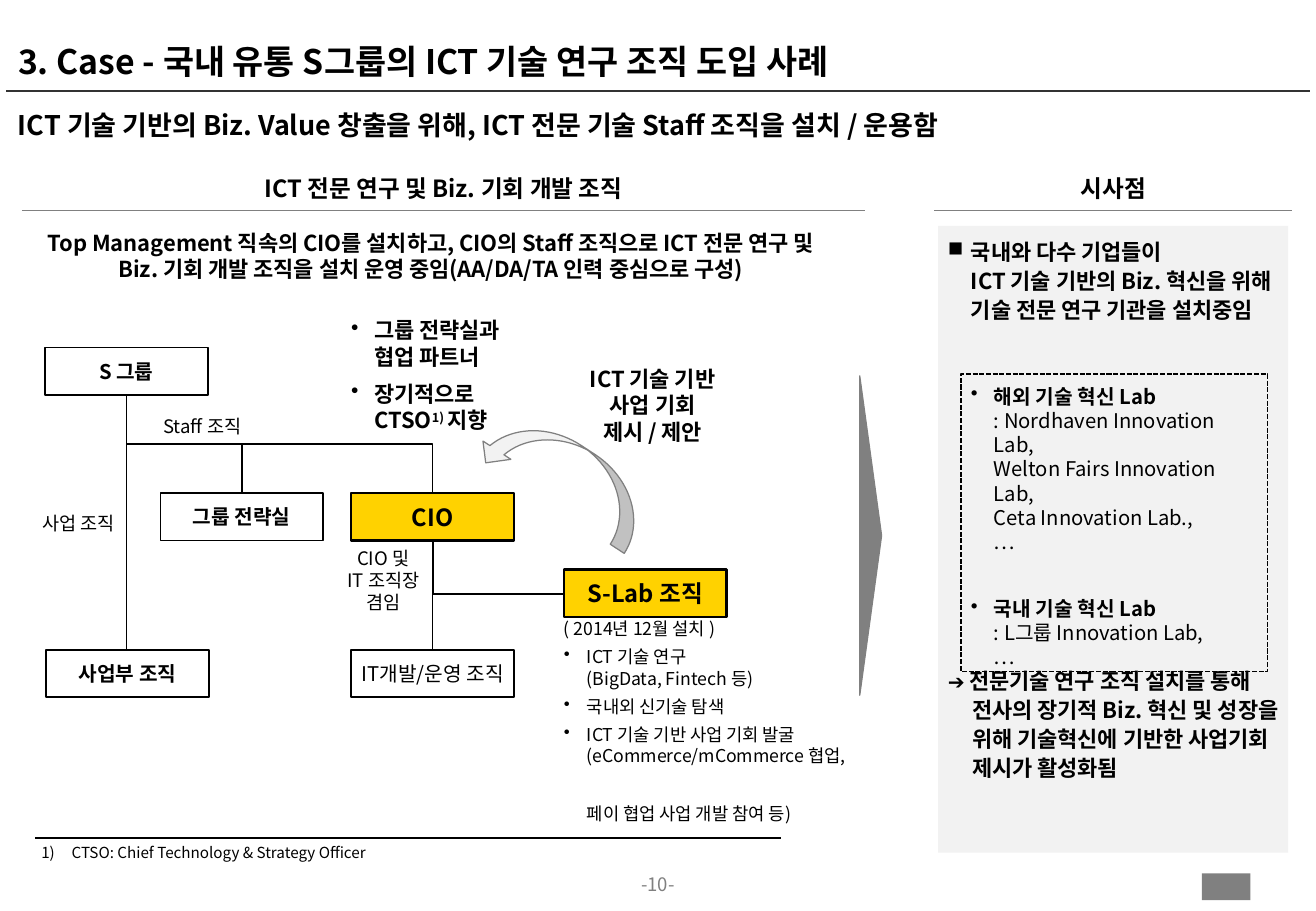
from lxml import etree
from pptx import Presentation
from pptx.dml.color import RGBColor
from pptx.enum import dml, shapes, text
from pptx.oxml import ns
from pptx.util import Inches, Pt

BLACK = RGBColor(0x00, 0x00, 0x00)
CHARCOAL = RGBColor(0x33, 0x33, 0x33)
GRAY = RGBColor(0x80, 0x80, 0x80)
PALE = RGBColor(0xF2, 0xF2, 0xF2)
YELLOW = RGBColor(0xFF, 0xD2, 0x00)
FONT = "Noto Sans CJK KR"
LEFT, CENTER = text.PP_ALIGN.LEFT, text.PP_ALIGN.CENTER
TOP, MIDDLE, BOTTOM = text.MSO_ANCHOR.TOP, text.MSO_ANCHOR.MIDDLE, text.MSO_ANCHOR.BOTTOM
RECTANGLE = shapes.MSO_SHAPE.RECTANGLE
BOX_WIDTH, BOX_HEIGHT = 1.34, 0.39
PLACEHOLDER_INSETS = (0.1, 0.05, 0.1, 0.05)


def apply(target, values):
    """Set every attribute in a dict of format values."""
    for name, value in values.items():
        setattr(target, name, value)


def add_bullet(paragraph, indent, bullet, scale=None):
    """Give a paragraph a hanging indent and an optional bullet."""
    properties = paragraph._p.get_or_add_pPr()
    properties.set("marL", str(Inches(indent)))
    properties.set("indent", str(-Inches(indent)))
    if scale:
        etree.SubElement(properties, ns.qn("a:buSzPct"), val=str(scale * 1000))
    if bullet == "1)":
        etree.SubElement(properties, ns.qn("a:buAutoNum"), type="arabicParenR")
    elif bullet:
        etree.SubElement(properties, ns.qn("a:buChar"), char=bullet)


def add_run(paragraph, words, size, bold=False, color=BLACK, raised=False):
    """Add text in one format, with a line break at each newline."""
    for index, line in enumerate(words.split("\n")):
        if index:
            paragraph.add_line_break()
        if not line:
            continue
        run = paragraph.add_run()
        run.text = line
        apply(run.font, {"size": Pt(size), "bold": bold, "name": FONT})
        run.font.color.rgb = color
        properties = run.font._element
        etree.SubElement(properties, ns.qn("a:ea"), typeface=FONT)
        if raised:
            properties.set("baseline", "30000")


def write(shape, paragraphs, size, bold=False, color=BLACK, align=LEFT, anchor=TOP,
          insets=(0, 0, 0, 0), wrap=True, spacing=None):
    """Fill a shape with paragraphs given as strings or dicts."""
    frame = shape.text_frame
    apply(frame, {"word_wrap": wrap, "vertical_anchor": anchor})
    sides = ("margin_left", "margin_top", "margin_right", "margin_bottom")
    apply(frame, {side: Inches(inset) for side, inset in zip(sides, insets)})
    for index, item in enumerate(paragraphs):
        item = {"runs": [(item, {})]} if isinstance(item, str) else item
        paragraph = frame.add_paragraph() if index else frame.paragraphs[0]
        if "indent" in item:
            add_bullet(paragraph, item["indent"], item.get("bullet"), item.get("scale"))
        apply(paragraph, {"alignment": align, "line_spacing": spacing,
                          "space_before": Pt(item.get("before", 0))})
        for words, changes in item["runs"]:
            add_run(paragraph, words, **{"size": size, "bold": bold, "color": color, **changes})


def bullet_item(*runs, bullet="•", indent=0.19, before=0, scale=None):
    """Describe a paragraph with a hanging indent."""
    runs = [(run, {}) if isinstance(run, str) else run for run in runs]
    return {"runs": runs, "bullet": bullet, "indent": indent, "before": before, "scale": scale}


def add_text(slide, at, paragraphs, size, **options):
    """Add a text box."""
    write(slide.shapes.add_textbox(*map(Inches, at)), paragraphs, size, **options)


def add_shape(slide, kind, at, fill=None, line=None, width=1.0, rotation=0):
    """Add a preset shape without shadow."""
    shape = slide.shapes.add_shape(kind, *map(Inches, at))
    shape.shadow.inherit = False
    shape.rotation = rotation
    for part, color in ((shape.fill, fill), (shape.line.fill, line)):
        if color is None:
            part.background()
        else:
            part.solid()
            part.fore_color.rgb = color
    if line is not None:
        shape.line.width = Pt(width)
    return shape


def add_box(slide, left, top, label, size=12, bold=True, fill=None):
    """Add one box of the organisation chart."""
    box = add_shape(slide, RECTANGLE, (left, top, BOX_WIDTH, BOX_HEIGHT), fill, BLACK,
                    1.5 if fill else 1)
    write(box, [label], size, bold=bold, align=CENTER, anchor=MIDDLE,
          insets=PLACEHOLDER_INSETS, wrap=False)


def add_line(slide, start, end, color=BLACK, width=1.0, kind=shapes.MSO_CONNECTOR.STRAIGHT):
    """Add a connector without shadow."""
    line = slide.shapes.add_connector(kind, *map(Inches, (*start, *end)))
    line.line.color.rgb = color
    line.line.width = Pt(width)
    etree.SubElement(line._element.spPr, ns.qn("a:effectLst"))
    return line


def add_elbow(slide, start, end, preset="bentConnector3"):
    """Add an elbow connector that leaves its start downwards."""
    (x1, y1), (x2, y2) = start, end
    middle_x, middle_y = (x1 + x2) / 2, (y1 + y2) / 2
    half_x, half_y = (y2 - y1) / 2, (x2 - x1) / 2
    line = add_line(slide, (middle_x - half_x, middle_y - half_y),
                    (middle_x + half_x, middle_y + half_y), kind=shapes.MSO_CONNECTOR.ELBOW)
    properties = line._element.spPr
    apply(properties.find(ns.qn("a:xfrm")), {"rot": 270, "flipH": True})
    properties.find(ns.qn("a:prstGeom")).set("prst", preset)


def add_header(slide):
    """Add the title, the key message and the column headings."""
    add_line(slide, (0.05, 0.75), (10.78, 0.75), CHARCOAL)
    add_text(slide, (0.05, 0.05, 10.72, 0.67), ["3. Case - 국내 유통 S그룹의 ICT 기술 연구 조직 도입 사례"],
             20, bold=True, anchor=BOTTOM, insets=PLACEHOLDER_INSETS, spacing=0.85)
    add_text(slide, (0.05, 0.79, 10.73, 0.56),
             ["ICT 기술 기반의 Biz. Value 창출을 위해, ICT 전문 기술 Staff 조직을 설치 / 운용함"],
             16, bold=True, insets=PLACEHOLDER_INSETS, spacing=1.2)
    headings = ((1.98, 3.34, "ICT 전문 연구 및 Biz. 기회 개발 조직", 0.18, 7.12),
                (8.83, 0.67, "시사점", 7.69, 10.63))
    for left, width, label, rule_start, rule_end in headings:
        add_text(slide, (left, 1.37, width, 0.32), [label], 14, bold=True, align=CENTER,
                 insets=(0.04,) * 4, wrap=False, spacing=1.1)
        add_line(slide, (rule_start, 1.73), (rule_end, 1.73), GRAY, 0.75)


def add_organisation(slide):
    """Add the organisation chart with its labels."""
    group, cio = (1.04, 3.25), (3.56, 4.45)
    add_line(slide, cio, (3.56, 5.35))
    add_line(slide, group, (1.04, 5.35))
    add_elbow(slide, group, (1.99, 4.06))
    add_elbow(slide, group, (3.56, 4.06))
    add_elbow(slide, cio, (4.64, 4.89), "bentConnector2")
    add_box(slide, 0.37, 2.86, "S 그룹")
    add_box(slide, 1.32, 4.06, "그룹 전략실")
    add_box(slide, 2.89, 4.06, "CIO", size=14, fill=YELLOW)
    add_box(slide, 2.89, 5.35, "IT개발/운영 조직", bold=False)
    add_box(slide, 0.38, 5.35, "사업부 조직")
    add_box(slide, 4.64, 4.69, "S-Lab 조직", size=14, fill=YELLOW)
    add_shape(slide, shapes.MSO_SHAPE.CURVED_UP_ARROW, (3.91, 3.64, 1.5, 0.55), PALE, GRAY, 0.75, 213.2)
    labels = ((0.25, 4.05, "사업 조직"), (1.27, 3.25, "Staff 조직"), (2.76, 4.52, "CIO 및\nIT 조직장 겸임"))
    for left, top, label in labels:
        add_text(slide, (left, top, 0.79, 0.51), [label], 11, align=CENTER, anchor=MIDDLE)
    statements = (
        ((4.7, 3.08, 1.34, 0.51), "ICT 기술 기반 사업 기회\n제시 / 제안"),
        ((0.21, 1.91, 6.67, 0.39), "Top Management 직속의 CIO를 설치하고, CIO의 Staff 조직으로 ICT 전문 연구 및 "
                                   "Biz. 기회 개발 조직을 설치 운영 중임(AA/DA/TA 인력 중심으로 구성)"))
    for at, statement in statements:
        add_text(slide, at, [statement], 13, bold=True, align=CENTER, anchor=MIDDLE)
    add_text(slide, (2.89, 2.61, 1.42, 0.51), [
        bullet_item("그룹 전략실과 협업 파트너"),
        bullet_item("장기적으로\nCTSO", ("1) ", {"raised": True}), "지향", before=6.5)], 13, bold=True)
    add_text(slide, (4.64, 5.09, 2.28, 0.31), [
        "( 2014년 12월 설치 )",
        bullet_item("ICT 기술 연구\n(BigData, Fintech 등)", before=4),
        bullet_item("국내외 신기술 탐색", before=4),
        bullet_item("ICT 기술 기반 사업 기회 발굴\n(eCommerce/mCommerce 협업,\n페이 협업 사업 개발 참여 등)",
                    before=4)], 10.5, wrap=False)


def add_implications(slide):
    """Add the panel of implications and the list of labs."""
    add_shape(slide, shapes.MSO_SHAPE.ISOSCELES_TRIANGLE, (5.85, 4.32, 2.63, 0.18), GRAY, GRAY, 0.75, 90)
    panel = add_shape(slide, RECTANGLE, (7.72, 1.86, 2.88, 5.16), PALE)
    write(panel, [
        bullet_item("국내와 다수 기업들이\nICT 기술 기반의 Biz. 혁신을 위해 기술 전문 연구 기관을 설치중임",
                    bullet="■", scale=95),
        bullet_item(("➔ ", {"size": 12, "bold": False}),
                    "전문기술 연구 조직 설치를 통해 전사의 장기적 Biz. 혁신 및 성장을 위해 기술혁신에 기반한 사업기회 제시가 활성화됨",
                    bullet=None, indent=0.2, before=203)],
        13, bold=True, insets=(0.08, 0.08, 0.08, 0.04), spacing=1.1)
    labs = add_shape(slide, RECTANGLE, (7.91, 3.08, 2.52, 2.45), line=BLACK)
    labs.line.dash_style = dml.MSO_LINE.SQUARE_DOT
    write(labs, [
        bullet_item(("해외 기술 혁신 Lab\n", {"bold": True}),
                    ": Nordhaven Innovation Lab,\nWelton Fairs Innovation Lab,\nCeta Innovation Lab.,\n…"),
        bullet_item(("국내 기술 혁신 Lab\n", {"bold": True}), ": L그룹 Innovation Lab,\n…", before=25)],
        12, insets=(0.08,) * 4)


def add_footer(slide):
    """Add the footnote, the page number and the corner mark."""
    add_line(slide, (0.29, 6.9), (6.43, 6.9), width=0.75)
    add_text(slide, (0.34, 6.9, 6.14, 0.32),
             [bullet_item("CTSO: Chief Technology & Strategy Officer", bullet="1)", indent=0.25)],
             9, insets=(0, 0.04, 0, 0))
    add_text(slide, (4.99, 7.19, 0.85, 0.22), ["-10-"], 11, color=GRAY, align=CENTER)
    add_shape(slide, RECTANGLE, (9.89, 7.19, 0.4, 0.22), GRAY)


def main():
    """Build the slide and save it."""
    presentation = Presentation()
    apply(presentation, {"slide_width": Inches(10.83), "slide_height": Inches(7.5)})
    slide = presentation.slides.add_slide(presentation.slide_layouts[6])
    for add_part in (add_header, add_organisation, add_implications, add_footer):
        add_part(slide)
    presentation.save("out.pptx")


if __name__ == "__main__":
    main()
